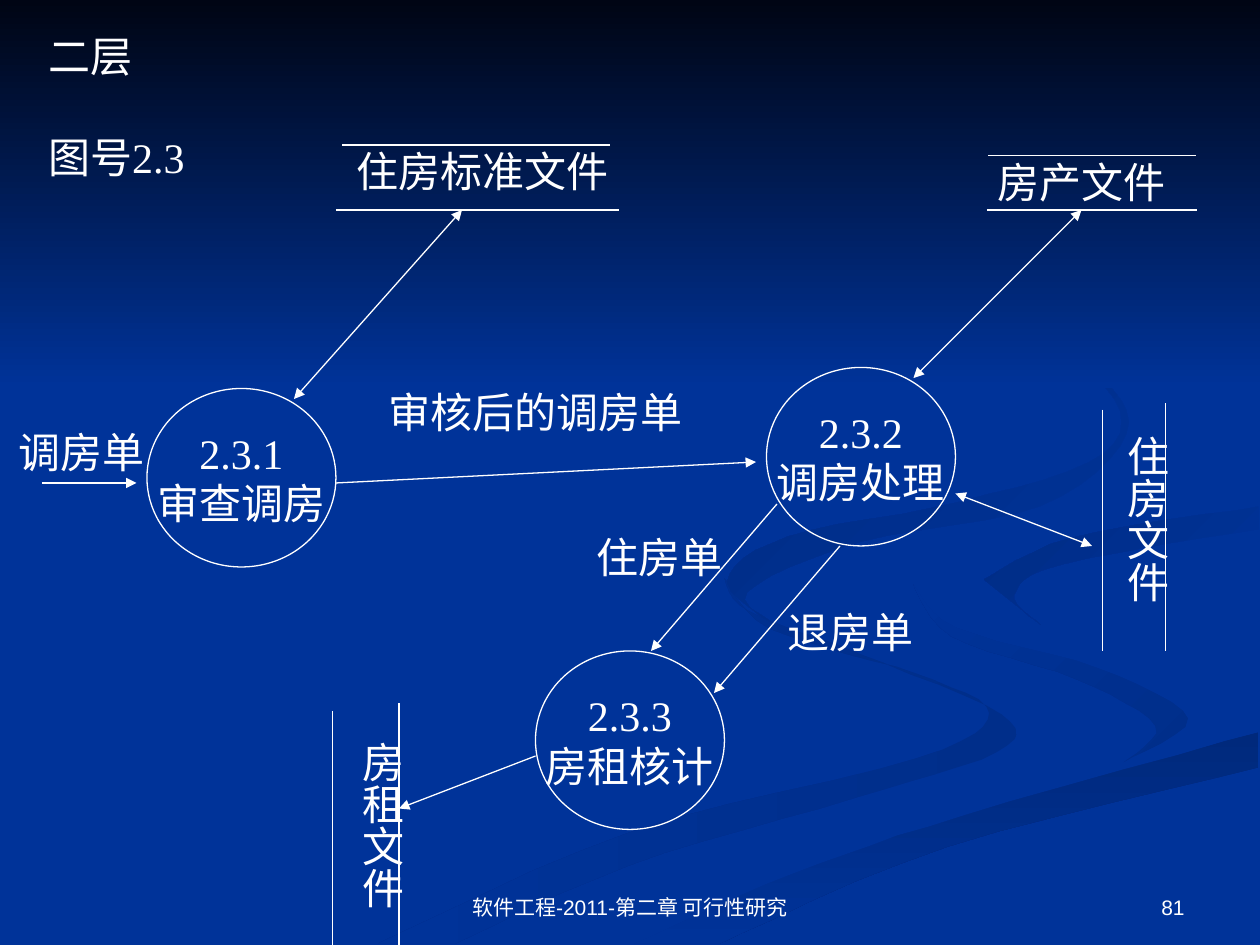
from lxml.etree import SubElement
from pptx import Presentation
from pptx.dml.color import RGBColor
from pptx.enum.shapes import MSO_CONNECTOR, MSO_SHAPE
from pptx.enum.text import MSO_ANCHOR, MSO_AUTO_SIZE, PP_ALIGN
from pptx.oxml.ns import qn
from pptx.util import Inches, Pt

WHITE = RGBColor(0xFF, 0xFF, 0xFF)
BLUE = RGBColor(0x00, 0x33, 0x99)
NIGHT = RGBColor(0x00, 0x05, 0x14)
DEEP = RGBColor(0x00, 0x2E, 0x8A)
DARK = RGBColor(0x00, 0x29, 0x7C)
DUSK = RGBColor(0x00, 0x2C, 0x85)
SHADE = RGBColor(0x00, 0x2B, 0x81)

COLS, ROWS = 120, 90
FINE = 1000
STEPS = 6
SERIF = {"name": "Times New Roman", "size": Pt(24)}
SANS = {"name": "Arial", "size": Pt(12)}
WIDE, THIN = Inches(0.1), Inches(0.05)
INSET = {"margin_left": WIDE, "margin_right": WIDE,
         "margin_top": THIN, "margin_bottom": THIN}
UPRIGHT = {"margin_left": THIN, "margin_right": THIN,
           "margin_top": WIDE, "margin_bottom": WIDE}

BEND = [(725, 464), (759, 498), (871, 530), (943, 570), (892, 605)]
RIM = [(503, 749), (630, 693), (765, 647), (999, 581)]
CREST = [(781, 460), (850, 427), (999, 402)]
SWIRLS = [
    (DEEP, BLUE, 180, [
        [(575, 459), (611, 499), (728, 535), (785, 566), (727, 602), (499, 661), (300, 749)],
        [(361, 749), (499, 687), (676, 634), (791, 597), (795, 567), (682, 519), (594, 485),
         (575, 459)]]),
    (DEEP, BLUE, 135, [BEND, [(892, 605), (917, 576), (854, 539), (755, 505), (725, 464)]]),
    (DARK, BLUE, 270, [RIM, [(999, 609), (752, 672), (571, 749)]]),
    (BLUE, BLUE, 0, [
        BEND, [(892, 605), (663, 668), (477, 749)], RIM,
        [(999, 538), (848, 503), (781, 460)], CREST,
        [(999, 387), (788, 422), (725, 464)]]),
    (BLUE, DUSK, 135, [CREST, [(999, 420), (843, 448), (805, 472), (826, 496)]]),
    (BLUE, SHADE, 135, [
        [(762, 233), (864, 291), (894, 344), (825, 402), (683, 430), (593, 470), (622, 500)],
        [(622, 500), (577, 462), (625, 426), (763, 398), (876, 360), (876, 306), (762, 233)]]),
    (NIGHT, BLUE, 270, [[(0, 0), (FINE, 0)], [(FINE, 308), (0, 308)]]),
]
CIRCLES = [
    (14, 37, "2.3.1", "审查调房"),
    (51, 62, "2.3.3", "房租核计"),
    (73, 35, "2.3.2", "调房处理"),
]
RULES = [
    (32, 20, 59, 20), (94, 20, 114, 20), (105, 39, 105, 62), (38, 67, 38, 90),
    (32.6, 13.8, 58.1, 13.8), (31.7, 67.7, 31.7, 90),
    (111, 38.4, 111, 62), (94.1, 14.8, 113.9, 14.8),
]
FLOWS = [
    (4, 46, 13, 46), (32, 46, 72, 44), (51, 72, 38, 77),
    (74, 48, 62, 62), (80, 52, 68, 66),
]
LINKS = [(87, 36, 103, 20), (28, 38, 44, 20), (91, 47, 104, 52)]
LABELS = [
    (32.8, 13.3, "住房标准文件"), (93.8, 14.3, "房产文件"),
    (35.8, 36.2, "审核后的调房单"), (55.6, 50, "住房单"),
    (73.8, 57.2, "退房单"), (0.6, 40, "调房单"),
]
STORES = [(105, 40.3, "住房文件"), (32.2, 69.4, "房租文件")]


def apply(item, style):
    for key, value in style.items():
        setattr(item, key, value)


def scale(box, x, y):
    left, top, width, height = box
    return round(left + width * x / COLS), round(top + height * y / ROWS)


def place(box, x, y, width, height):
    left, top = scale(box, x, y)
    right, base = scale(box, x + width, y + height)
    return left, top, right - left, base - top


def blend(a, b, c, d, t):
    return (2 * b + (c - a) * t + (2 * a - 5 * b + 4 * c - d) * t ** 2
            + (3 * b - a - 3 * c + d) * t ** 3) / 2


def smooth(edge):
    knots = [edge[0], *edge, edge[-1]]
    dots = [tuple(round(blend(*axis, step / STEPS)) for axis in zip(*knots[i:i + 4]))
            for i in range(len(edge) - 1) for step in range(STEPS)]
    return dots + [edge[-1]]


def write(shape, lines, font, frame, align=PP_ALIGN.LEFT, gap=0):
    text = shape.text_frame
    apply(text, {**INSET, "word_wrap": False, **frame})
    for i, line in enumerate(lines):
        para = text.paragraphs[0] if i == 0 else text.add_paragraph()
        apply(para, {"alignment": align, "space_before": Pt(gap if i else 0)})
        run = para.add_run()
        run.text = line
        apply(run.font, font)
        run.font.color.rgb = WHITE
    return text


def label(slide, area, lines, font=SERIF, frame=None, **rest):
    return write(slide.shapes.add_textbox(*area), lines, font, frame or {}, **rest)


def stroke(slide, box, ends, heads):
    x1, y1, x2, y2 = ends
    line = slide.shapes.add_connector(
        MSO_CONNECTOR.STRAIGHT, *scale(box, x1, y1), *scale(box, x2, y2))
    line.line.color.rgb = WHITE
    line.line.width = Pt(0.75)
    for head in heads:
        SubElement(line.line._get_or_add_ln(), qn(head), type="triangle")
    SubElement(line._element.spPr, qn("a:effectLst"))


def backdrop(slide, box):
    left, top, width, _ = box
    slide.background.fill.solid()
    slide.background.fill.fore_color.rgb = BLUE
    for start, end, angle, edges in SWIRLS:
        dots = [dot for edge in edges for dot in smooth(edge)]
        form = slide.shapes.build_freeform(*dots[0], scale=width / FINE)
        form.add_line_segments(dots[1:], close=True)
        shape = form.convert_to_shape(left, top)
        shape.shadow.inherit = False
        shape.line.fill.background()
        if start == end:
            shape.fill.solid()
            shape.fill.fore_color.rgb = start
            continue
        shape.fill.gradient()
        shape.fill.gradient_angle = angle
        for stop, color, spot in zip(shape.fill.gradient_stops, (start, end), (0, 1)):
            stop.color.rgb = color
            stop.position = spot


def diagram(slide, box):
    for x, y, *lines in CIRCLES:
        shape = slide.shapes.add_shape(MSO_SHAPE.OVAL, *place(box, x, y, 18, 17))
        shape.shadow.inherit = False
        shape.fill.background()
        shape.line.color.rgb = WHITE
        shape.line.width = Pt(0.75)
        write(shape, lines, SERIF, {"vertical_anchor": MSO_ANCHOR.MIDDLE}, PP_ALIGN.CENTER)
    for group, heads in ((RULES, ()), (FLOWS, ("a:tailEnd",)),
                         (LINKS, ("a:headEnd", "a:tailEnd"))):
        for ends in group:
            stroke(slide, box, ends, heads)
    fit = {"auto_size": MSO_AUTO_SIZE.SHAPE_TO_FIT_TEXT}
    for x, y, words in LABELS:
        label(slide, place(box, x, y, 4 * len(words) + 2.4, 6), [words], frame=fit)
    for x, y, words in STORES:
        text = label(slide, place(box, x, y, 7.2, 17.3), [words], frame={**UPRIGHT, **fit})
        text._txBody.bodyPr.set("vert", "eaVert")


def heading(slide, box):
    label(slide, place(box, 3.4, 2.3, 16.3, 15.6), ["二层", "图号2.3"], gap=29)


def footer(slide, box):
    frame = {"word_wrap": True, "vertical_anchor": MSO_ANCHOR.BOTTOM}
    for x, width, words, align in (
            (41, 38, "软件工程-2011-第二章 可行性研究", PP_ALIGN.CENTER),
            (86, 28, "81", PP_ALIGN.RIGHT)):
        label(slide, place(box, x, 82, width, 6.2), [words], SANS, frame, align=align)


def main():
    deck = Presentation()
    apply(deck, {"slide_width": Inches(10), "slide_height": Inches(7.5)})
    slide = deck.slides.add_slide(deck.slide_layouts[6])
    box = (0, 0, deck.slide_width, deck.slide_height)
    for part in (backdrop, diagram, heading, footer):
        part(slide, box)
    deck.save("out.pptx")


if __name__ == "__main__":
    main()
